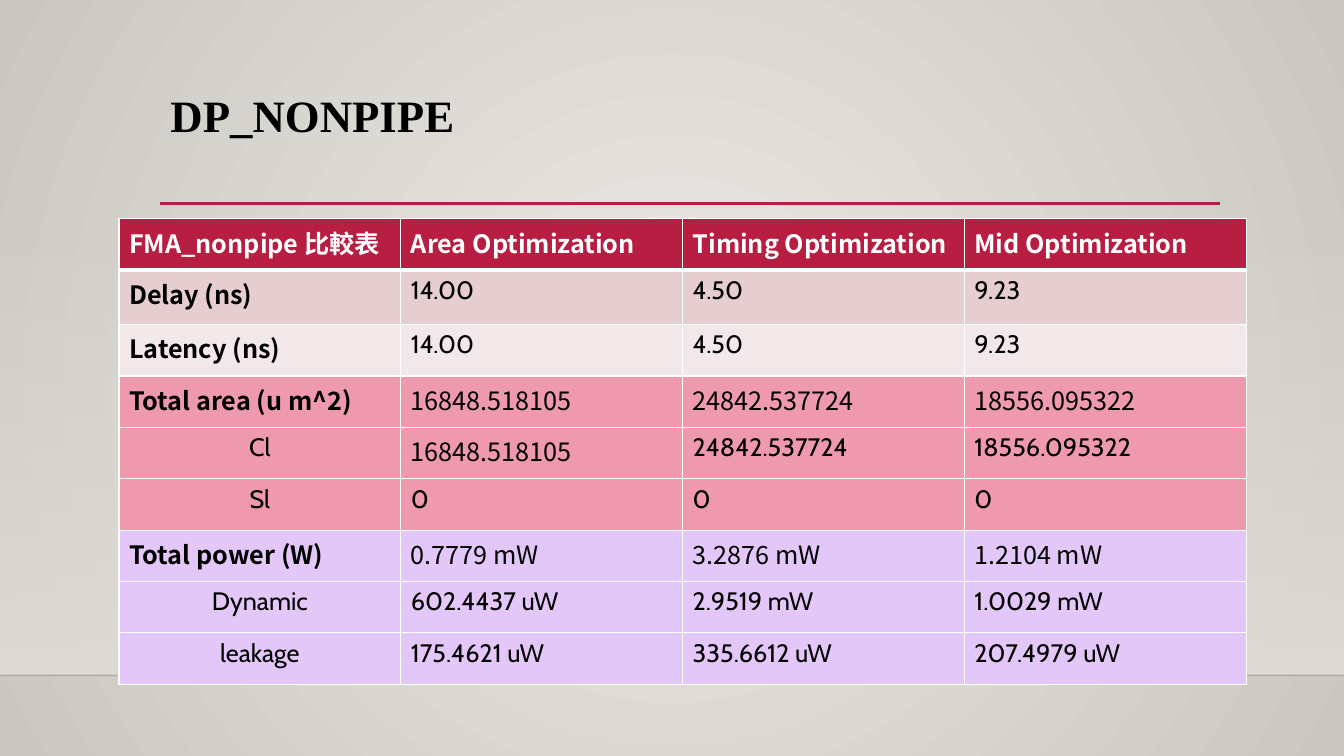
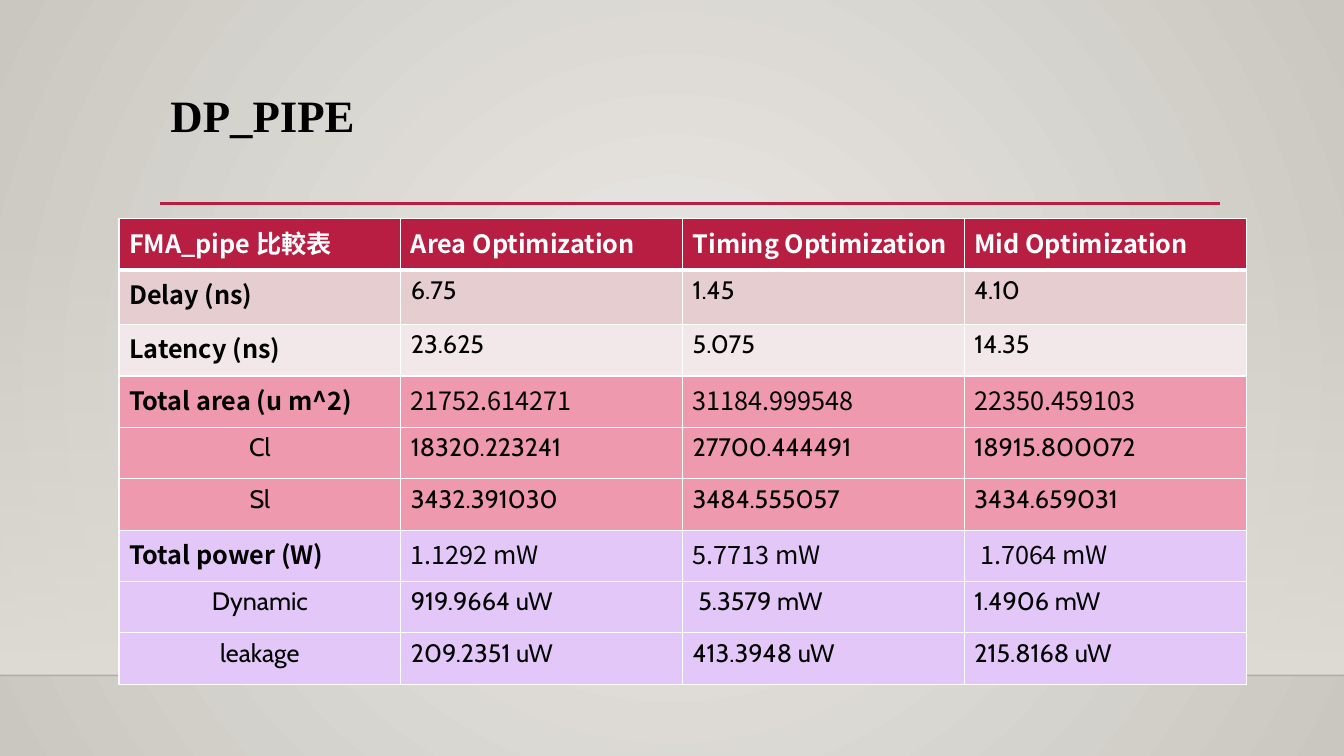
from lxml import etree
from pptx import Presentation
from pptx.dml.color import RGBColor
from pptx.enum.shapes import MSO_CONNECTOR as Connector, MSO_SHAPE as Shape
from pptx.enum.text import MSO_ANCHOR as Anchor, MSO_AUTO_SIZE as AutoSize, PP_ALIGN as Align
from pptx.oxml import parse_xml
from pptx.oxml.ns import nsdecls, qn
from pptx.util import Inches, Pt

CRIMSON, WHITE, BLACK = "B71E42", "FFFFFF", "000000"
ROSE, PALE_ROSE, PINK, LILAC = "E6CDCF", "F3E8E9", "EE99AD", "E4C7F9"
SANS, CABIN, SERIF = "Noto Sans CJK SC", "Cabin", "Times New Roman"
NS = nsdecls("a", "p")

HEADINGS = ["Area Optimization", "Timing Optimization", "Mid Optimization"]
METRICS = [
    ("Delay (ns)", ROSE, SANS, CABIN),
    ("Latency (ns)", PALE_ROSE, SANS, CABIN),
    ("Total area (u m^2)", PINK, SANS, SANS),
    ("Cl", PINK, CABIN, CABIN),
    ("Sl", PINK, CABIN, CABIN),
    ("Total power (W)", LILAC, SANS, SANS),
    ("Dynamic", LILAC, CABIN, CABIN),
    ("leakage", LILAC, CABIN, CABIN),
]
DESIGNS = [
    ("DP_NONPIPE", "FMA_nonpipe 比較表", [
        ["14.00", "4.50", "9.23"],
        ["14.00", "4.50", "9.23"],
        ["16848.518105", "24842.537724", "18556.095322"],
        ["16848.518105", "24842.537724", "18556.095322"],
        ["0", "0", "0"],
        ["0.7779 mW", "3.2876 mW", "1.2104 mW"],
        ["602.4437 uW", "2.9519 mW", "1.0029 mW"],
        ["175.4621 uW", "335.6612 uW", "207.4979 uW"],
    ], {(4, 1): SANS}),
    ("DP_PIPE", "FMA_pipe 比較表", [
        ["6.75", "1.45", "4.10"],
        ["23.625", "5.075", "14.35"],
        ["21752.614271", "31184.999548", "22350.459103"],
        ["18320.223241", "27700.444491", "18915.800072"],
        ["3432.391030", "3484.555057", "3434.659031"],
        ["1.1292 mW", "5.7713 mW", " 1.7064 mW"],
        ["919.9664 uW", " 5.3579 mW", "1.4906 mW"],
        ["209.2351 uW", "413.3948 uW", "215.8168 uW"],
    ], {}),
]


def rgb(color):
    return RGBColor.from_string(color)


def add_run(paragraph, text, font_name, size, color, bold):
    run = paragraph.add_run()
    run.text = text
    run.font.name = font_name
    run.font.size = Pt(size)
    run.font.bold = bold
    run.font.color.rgb = rgb(color)
    east_asian = etree.SubElement(run.font._element, qn("a:ea"))
    east_asian.set("typeface", font_name)


prs = Presentation()
prs.slide_width, prs.slide_height = Inches(13.33), Inches(7.5)
layout = prs.slide_layouts[5]
slides = [prs.slides.add_slide(layout) for _ in DESIGNS]

layout.element.cSld.insert(0, parse_xml(
    f'<p:bg {NS}><p:bgPr><a:gradFill rotWithShape="1"><a:gsLst>'
    '<a:gs pos="0"><a:srgbClr val="ECEAE7"/></a:gs>'
    '<a:gs pos="100000"><a:srgbClr val="CAC7C1"/></a:gs></a:gsLst>'
    '<a:path path="circle"><a:fillToRect l="50000" t="50000" r="50000" b="50000"/></a:path>'
    '</a:gradFill><a:effectLst/></p:bgPr></p:bg>'))

wall = slides[0].shapes.add_shape(Shape.RECTANGLE, 0, Inches(2.21), prs.slide_width, Inches(4.49))
wall.shadow.inherit = False
wall.line.fill.background()
wall.fill.gradient()
wall.fill.gradient_angle = 270
for stop, position in zip(wall.fill.gradient_stops, (0, 1)):
    stop.color.rgb = rgb("DFDBD5")
    stop.position = position
clear_color = next(wall.element.spPr.iter(qn("a:srgbClr")))
etree.SubElement(clear_color, qn("a:alpha")).set("val", "0")

decor = [wall]
for left, right, top, color, width in [(0, 13.33, 6.7, "000001", 1), (1.59, 12.1, 2.02, CRIMSON, 2.5)]:
    rule = slides[0].shapes.add_connector(
        Connector.STRAIGHT, Inches(left), Inches(top), Inches(right), Inches(top))
    rule.line.color.rgb = rgb(color)
    rule.line.width = Pt(width)
    etree.SubElement(rule.element.spPr, qn("a:effectLst"))
    decor.append(rule)
floor_color = next(decor[1].element.spPr.iter(qn("a:srgbClr")))
etree.SubElement(floor_color, qn("a:alpha")).set("val", "20000")
for index, part in enumerate(decor):
    layout.shapes.element.insert(2 + index, part.element)

for slide, (heading, table_name, values, value_fonts) in zip(slides, DESIGNS):
    title = slide.shapes.title
    title.left, title.top, title.width, title.height = (
        Inches(1.59), Inches(0.88), Inches(10.5), Inches(1.15))
    title.text_frame.auto_size = AutoSize.NONE
    title.text_frame.vertical_anchor = Anchor.TOP
    title_line = title.text_frame.paragraphs[0]
    title_line.alignment = Align.LEFT
    title_line.line_spacing = 0.9
    add_run(title_line, heading, SERIF, 32, BLACK, True)

    comparison = slide.shapes.add_table(
        len(METRICS) + 1, 4, Inches(1.18), Inches(2.17), Inches(11.18), Inches(4.62)).table
    for column in comparison.columns:
        column.width = Inches(2.795)
    for row_index, row in enumerate(comparison.rows):
        row.height = Inches(0.54 if row_index == 1 else 0.51)
        if row_index == 0:
            texts, fill, color = [table_name] + HEADINGS, CRIMSON, WHITE
            label_font = value_font = SANS
        else:
            label, fill, label_font, value_font = METRICS[row_index - 1]
            texts, color = [label] + values[row_index - 1], BLACK
        for column_index, (cell, text) in enumerate(zip(row.cells, texts)):
            is_label = column_index == 0
            font_name = label_font if is_label else value_fonts.get((row_index, column_index), value_font)
            bold = row_index == 0 or (is_label and label_font == SANS)
            line = cell.text_frame.paragraphs[0]
            line.alignment = Align.CENTER if is_label and label_font == CABIN else Align.LEFT
            add_run(line, text, font_name, 18, color, bold)
            cell.fill.solid()
            cell.fill.fore_color.rgb = rgb(fill)
            for order, side in enumerate("LRTB"):
                weight = 3 if (row_index, side) in [(0, "B"), (1, "T")] else 1
                cell._tc.tcPr.insert(order, parse_xml(
                    f'<a:ln{side} {NS} w="{Pt(weight)}"><a:solidFill>'
                    f'<a:srgbClr val="{WHITE}"/></a:solidFill></a:ln{side}>'))

prs.save("out.pptx")
